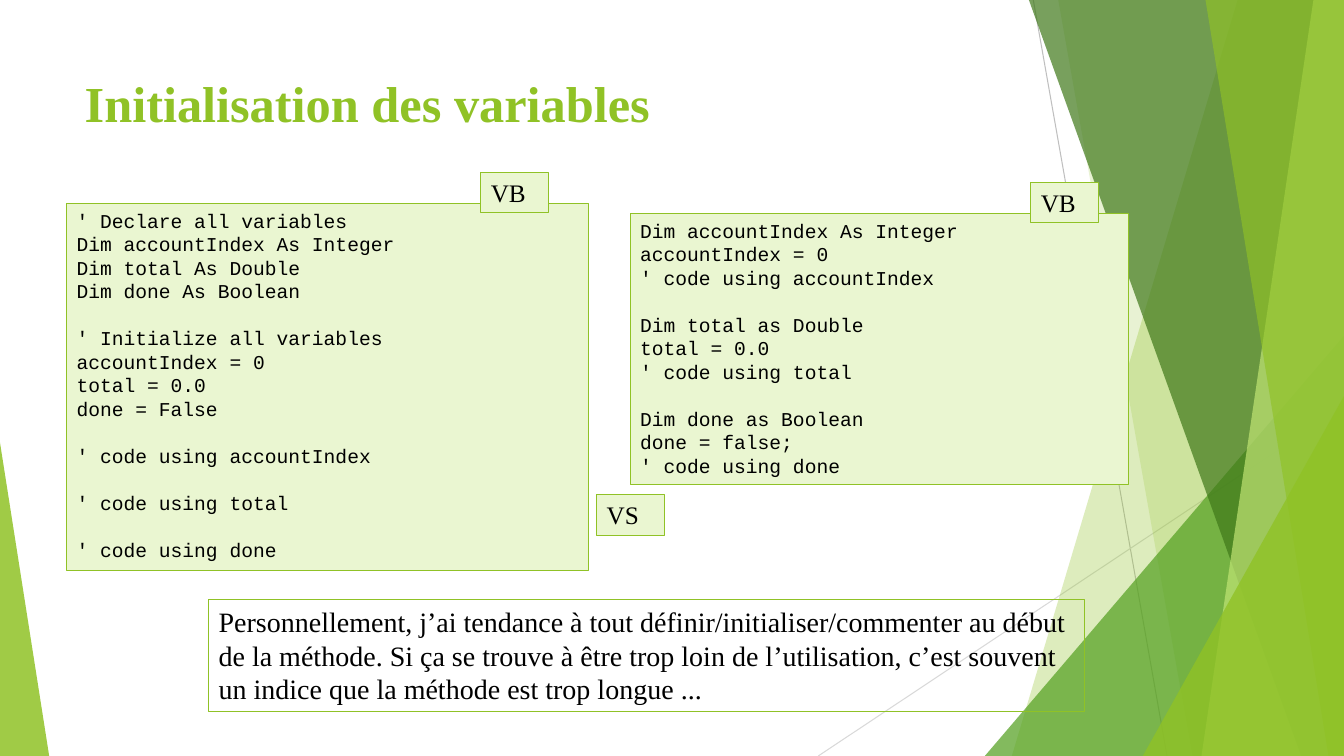
"""Build the slide about initialising variables."""
import pptx
import pptx.dml.color
import pptx.enum.shapes
import pptx.enum.text
import pptx.oxml
import pptx.oxml.ns
import pptx.util

Cm = pptx.util.Cm
Pt = pptx.util.Pt
RGBColor = pptx.dml.color.RGBColor
SHAPE = pptx.enum.shapes.MSO_SHAPE

GREEN = RGBColor(0x90, 0xC2, 0x26)
MID_GREEN = RGBColor(0x54, 0xA0, 0x21)
DARK_GREEN = RGBColor(0x3F, 0x78, 0x19)
LIGHT_GREEN = RGBColor(0xC0, 0xE4, 0x74)
PALE_GREEN = RGBColor(0xEA, 0xF6, 0xD1)
GREY = RGBColor(0xBF, 0xBF, 0xBF)
LIGHT_GREY = RGBColor(0xD9, 0xD9, 0xD9)
BLACK = RGBColor(0, 0, 0)
SERIF = "Times New Roman"
MONO = "Courier New"
WIDTH, HEIGHT = 33.87, 19.05
CODE_LINE = Pt(16.8)

DECLARE_FIRST = """' Declare all variables
Dim accountIndex As Integer
Dim total As Double
Dim done As Boolean

' Initialize all variables
accountIndex = 0
total = 0.0
done = False

' code using accountIndex

' code using total

' code using done"""

DECLARE_NEAR_USE = """Dim accountIndex As Integer
accountIndex = 0
' code using accountIndex

Dim total as Double
total = 0.0
' code using total

Dim done as Boolean
done = false;
' code using done"""

ADVICE = (
    "Personnellement, j’ai tendance à tout définir/initialiser/commenter au début "
    "de la méthode. Si ça se trouve à être trop loin de l’utilisation, c’est souvent "
    "un indice que la méthode est trop longue ..."
)


def add_box(slide, position, text, font_name, size, fill=PALE_GREEN):
    box = slide.shapes.add_shape(SHAPE.RECTANGLE, *[Cm(value) for value in position])
    box.shadow.inherit = False
    if fill is None:
        box.fill.background()
    else:
        box.fill.solid()
        box.fill.fore_color.rgb = fill
    box.line.color.rgb = GREEN
    box.line.width = Pt(0.75)
    frame = box.text_frame
    frame.word_wrap = True
    frame.auto_size = pptx.enum.text.MSO_AUTO_SIZE.SHAPE_TO_FIT_TEXT
    frame.vertical_anchor = pptx.enum.text.MSO_ANCHOR.TOP
    groups = text.split("\n\n")
    frame.text = "\n".join(groups)
    for paragraph in frame.paragraphs:
        paragraph.alignment = pptx.enum.text.PP_ALIGN.LEFT
        paragraph.font.name = font_name
        paragraph.font.size = Pt(size)
        paragraph.font.color.rgb = BLACK
    group_start = 0
    for group in groups[:-1]:
        group_start += len(group.split("\n"))
        frame.paragraphs[group_start].space_before = CODE_LINE


presentation = pptx.Presentation()
presentation.slide_width = Cm(WIDTH)
presentation.slide_height = Cm(HEIGHT)
slide = presentation.slides.add_slide(presentation.slide_layouts[5])

hairlines = [
    ((26.04, 0), (29.41, HEIGHT), GREY),
    ((WIDTH, 10.24), (20.62, HEIGHT), LIGHT_GREY),
]
for start, end, color in hairlines:
    hairline = slide.shapes.add_connector(
        pptx.enum.shapes.MSO_CONNECTOR.STRAIGHT, *[Cm(value) for value in start + end]
    )
    hairline.line.color.rgb = color
    hairline.line.width = Pt(0.75)
    hairline._element.spPr.append(pptx.oxml.parse_xml(
        f'<a:effectLst {pptx.oxml.ns.nsdecls("a")}/>'
    ))

decorations = [
    ("band", (31.19, 25.5), GREEN, 30),
    ("band", (26.67, 30.05), GREEN, 20),
    ("right triangle", (24.82, 8.46, 9.05), MID_GREEN, 72),
    ("band", (25.93, 32.79), DARK_GREEN, 70),
    ("band", (33.1, 30.28), LIGHT_GREEN, 70),
    ("band", (30.38, 33.48), GREEN, 65),
    ("right triangle", (28.8, 9.98, 5.07), GREEN, 80),
    ("left triangle", (0, 11.15, 1.24), GREEN, 85),
]
for kind, measures, color, opacity in decorations:
    if kind == "band":
        top_x, bottom_x = measures
        builder = slide.shapes.build_freeform(Cm(top_x), 0)
        corners = [(WIDTH, 0), (WIDTH, HEIGHT), (bottom_x, HEIGHT)]
        builder.add_line_segments([(Cm(x), Cm(y)) for x, y in corners], close=True)
        decoration = builder.convert_to_shape()
    else:
        left, top, width = measures
        decoration = slide.shapes.add_shape(
            SHAPE.ISOSCELES_TRIANGLE, Cm(left), Cm(top), Cm(width), Cm(HEIGHT - top)
        )
        decoration.adjustments[0] = 1 if kind == "right triangle" else 0
    decoration.shadow.inherit = False
    decoration.line.fill.background()
    decoration.fill.solid()
    decoration.fill.fore_color.rgb = color
    color_element = decoration._element.spPr.find(".//" + pptx.oxml.ns.qn("a:srgbClr"))
    color_element.append(pptx.oxml.parse_xml(
        f'<a:alpha {pptx.oxml.ns.nsdecls("a")} val="{opacity * 1000}"/>'
    ))

title = slide.shapes.title
title.left, title.top, title.width, title.height = Cm(1.88), Cm(1.7), Cm(23.88), Cm(3.66)
title.text_frame.text = "Initialisation des variables"
title.text_frame.word_wrap = True
title.text_frame.vertical_anchor = pptx.enum.text.MSO_ANCHOR.TOP
heading = title.text_frame.paragraphs[0]
heading.alignment = pptx.enum.text.PP_ALIGN.LEFT
heading.font.name = SERIF
heading.font.size = Pt(36)
heading.font.bold = True
heading.font.color.rgb = GREEN

examples = [
    ((1.68, 5.13, 13.16, 9.25), DECLARE_FIRST, (12.12, 4.34)),
    ((15.88, 5.38, 12.55, 6.83), DECLARE_NEAR_USE, (25.98, 4.6)),
]
label_size = (1.7, 1.02)
for position, code, label_corner in examples:
    add_box(slide, position, code, MONO, 14)
    add_box(slide, label_corner + label_size, "VB", SERIF, 18)
add_box(slide, (15.04, 12.47) + label_size, "VS", SERIF, 18)
add_box(slide, (5.26, 15.11, 22.07, 2.82), ADVICE, SERIF, 20, fill=None)

presentation.save("out.pptx")
